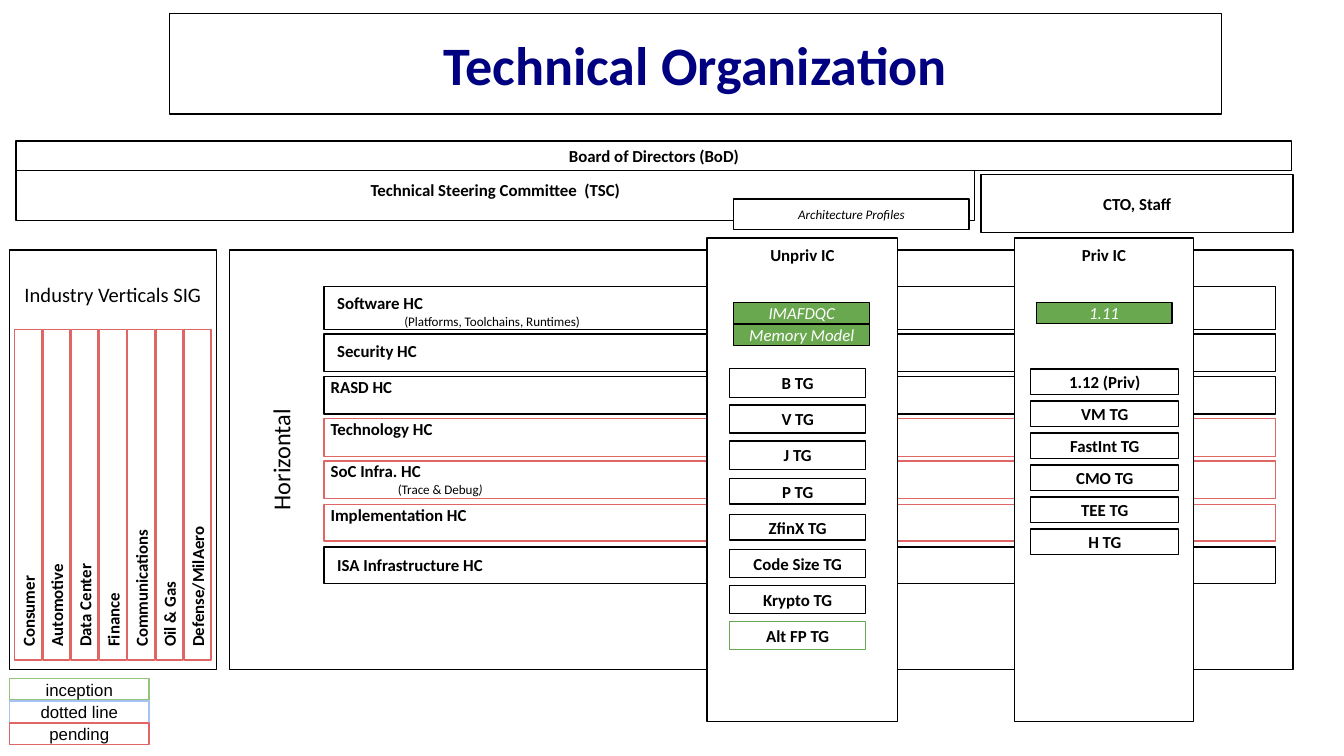
from dataclasses import dataclass, replace

from pptx import Presentation
from pptx.dml.color import RGBColor
from pptx.enum.shapes import MSO_SHAPE as Preset
from pptx.enum.text import MSO_ANCHOR as Anchor, MSO_AUTO_SIZE as AutoSize, PP_ALIGN as Align
from pptx.util import Inches, Pt


@dataclass(frozen=True)
class TextStyle:
    size: int
    bold: bool = False
    italic: bool = False
    color: str = "000000"
    font: str = "Calibri"


class Theme:
    black, white, navy = "000000", "FFFFFF", "000081"
    red, green, light_green, light_blue = "E06666", "6AA84F", "93C47D", "A4C2F4"
    line_width = 0.75
    title = TextStyle(29, bold=True, color=navy)
    label = TextStyle(9, bold=True)
    note = TextStyle(7)
    profile = TextStyle(7, italic=True)
    ratified = TextStyle(9, italic=True, color=white)
    legend = TextStyle(9, font="Arial")
    verticals = TextStyle(11)
    horizontal = TextStyle(13)


PADDED = (0.1, 0.05, 0.1, 0.05)
TIGHT = (0, 0, 0, 0)
SLIM = (0.05, 0, 0, 0)

TITLE = "Technical Organization"
TITLE_AREA = (1.26, 0.1, 7.83, 0.75)

GOVERNANCE = [
    ("Technical Steering Committee  (TSC)", (0.12, 1.19, 7.13, 0.45)),
    ("CTO, Staff", (7.3, 1.3, 2.32, 0.43)),
    ("Board of Directors (BoD)", (0.12, 1.05, 9.49, 0.22)),
]
PROFILES = ("Architecture Profiles", (5.46, 1.48, 1.75, 0.23))

HORIZONTAL_AREA = (1.71, 1.86, 7.91, 3.12)
# name, runs of the note below it, height, outline, insets, anchor
COMMITTEES = [
    ("Software HC", ["(Platforms, Toolchains, Runtimes)"], 0.32, Theme.black, PADDED, Anchor.TOP),
    ("Security HC", [], 0.28, Theme.black, PADDED, Anchor.TOP),
    ("RASD HC", [], 0.28, Theme.black, SLIM, Anchor.TOP),
    ("Technology HC", [], 0.28, Theme.red, SLIM, Anchor.TOP),
    ("SoC Infra. HC", ["(Trace & Debug", ")"], 0.28, Theme.red, SLIM, Anchor.TOP),
    ("Implementation HC", [], 0.27, Theme.red, SLIM, Anchor.TOP),
    ("ISA Infrastructure HC", [], 0.27, Theme.black, PADDED, Anchor.MIDDLE),
]
COMMITTEE_LEFT, COMMITTEE_WIDTH = 2.41, 7.08
FIRST_BOTTOM, LAST_BOTTOM = 2.45, 4.34

# Each column: heading, area, ratified items with their left, then task groups
# with left, width, first and last centre, and (name, height, outline).
ISA_COLUMNS = [
    {
        "heading": "Unpriv IC", "area": (5.26, 1.77, 1.42, 3.6),
        "ratified": ["IMAFDQC", "Memory Model"], "ratified_left": 5.46,
        "left": 5.43, "width": 1.01, "centres": (2.85, 4.73),
        "groups": [
            ("B TG", 0.22, Theme.black), ("V TG", 0.21, Theme.black),
            ("J TG", 0.21, Theme.black), ("P TG", 0.19, Theme.black),
            ("ZfinX TG", 0.19, Theme.black), ("Code Size TG", 0.21, Theme.black),
            ("Krypto TG", 0.21, Theme.black), ("Alt FP TG", 0.21, Theme.green),
        ],
    },
    {
        "heading": "Priv IC", "area": (7.55, 1.77, 1.33, 3.6),
        "ratified": ["1.11"], "ratified_left": 7.71,
        "left": 7.67, "width": 1.1, "centres": (2.84, 4.03),
        "groups": [(name, 0.19, Theme.black) for name in
                   ("1.12 (Priv)", "VM TG", "FastInt TG", "CMO TG", "TEE TG", "H TG")],
    },
]
RATIFIED_TOP, RATIFIED_WIDTH, RATIFIED_HEIGHT = 2.25, 1.01, 0.16

VERTICALS_AREA = (0.07, 1.86, 1.54, 3.12)
VERTICALS = ["Consumer", "Automotive", "Data Center", "Finance",
             "Communications", "Oil & Gas", "Defense/MilAero"]
VERTICAL_LEFT, VERTICAL_TOP, VERTICAL_STEP = 0.11, 2.45, 0.21
VERTICAL_WIDTH, VERTICAL_HEIGHT = 0.2, 2.46

LEGEND = [("inception", Theme.light_green), ("dotted line", Theme.light_blue),
          ("pending", Theme.red)]
LEGEND_LEFT, LEGEND_WIDTH, LEGEND_HEIGHT = 0.07, 1.04, 0.16
LEGEND_TOPS = (5.05, 5.38)


def spread(first, last, count):
    """Evenly spaced positions from first to last."""
    return [first + (last - first) * index / (count - 1) for index in range(count)]


def place(shape, area, turned=False):
    """Cover the area; a turned shape reads upwards within the same area."""
    left, top, width, height = area
    if turned:
        left, top = left + (width - height) / 2, top + (height - width) / 2
        width, height = height, width
        shape.rotation = 270
    shape.left, shape.top = Inches(left), Inches(top)
    shape.width, shape.height = Inches(width), Inches(height)


def outline(shape, color):
    shape.line.color.rgb = RGBColor.from_string(color)
    shape.line.width = Pt(Theme.line_width)


def prepare_frame(shape, insets, anchor):
    frame = shape.text_frame
    frame.word_wrap = True
    frame.auto_size = AutoSize.NONE
    frame.vertical_anchor = anchor
    (frame.margin_left, frame.margin_top,
     frame.margin_right, frame.margin_bottom) = map(Inches, insets)
    return frame


def add_run(paragraph, text, style):
    run = paragraph.add_run()
    run.text = text
    font = run.font
    font.name, font.size = style.font, Pt(style.size)
    font.bold, font.italic = style.bold, style.italic
    font.color.rgb = RGBColor.from_string(style.color)


def add_box(slide, area, text, style=Theme.label, line=Theme.black, fill=Theme.white,
            insets=TIGHT, anchor=Anchor.MIDDLE, align=Align.CENTER, turned=False):
    shape = slide.shapes.add_shape(Preset.RECTANGLE, 0, 0, 0, 0)
    place(shape, area, turned)
    shape.shadow.inherit = False
    outline(shape, line)
    if fill:
        shape.fill.solid()
        shape.fill.fore_color.rgb = RGBColor.from_string(fill)
    else:
        shape.fill.background()
    paragraph = prepare_frame(shape, insets, anchor).paragraphs[0]
    paragraph.alignment = align
    add_run(paragraph, text, style)
    return shape


def add_title(slide):
    title = slide.shapes.title
    place(title, TITLE_AREA)
    outline(title, Theme.black)
    paragraph = prepare_frame(title, PADDED, Anchor.MIDDLE).paragraphs[0]
    paragraph.alignment = Align.CENTER
    add_run(paragraph, TITLE, Theme.title)


def add_committees(slide):
    add_box(slide, HORIZONTAL_AREA, "Horizontal", Theme.horizontal,
            insets=(0.1, 0.27, 0.1, 0.05), anchor=Anchor.TOP, turned=True)
    bottoms = spread(FIRST_BOTTOM, LAST_BOTTOM, len(COMMITTEES))
    for bottom, (name, note, height, line, insets, anchor) in zip(bottoms, COMMITTEES):
        area = (COMMITTEE_LEFT, bottom - height, COMMITTEE_WIDTH, height)
        shape = add_box(slide, area, name, line=line, insets=insets,
                        anchor=anchor, align=Align.LEFT)
        if note:
            paragraph = shape.text_frame.add_paragraph()
            paragraph.alignment = Align.LEFT
            paragraph._p.get_or_add_pPr().set("marL", str(Inches(0.5)))
            for index, text in enumerate(note):
                add_run(paragraph, text, replace(Theme.note, italic=index > 0))


def add_isa_column(slide, column):
    add_box(slide, column["area"], column["heading"], insets=PADDED, anchor=Anchor.TOP)
    for index, name in enumerate(column["ratified"]):
        top = RATIFIED_TOP + index * RATIFIED_HEIGHT
        add_box(slide, (column["ratified_left"], top, RATIFIED_WIDTH, RATIFIED_HEIGHT),
                name, Theme.ratified, fill=Theme.green)
    centres = spread(*column["centres"], len(column["groups"]))
    for centre, (name, height, line) in zip(centres, column["groups"]):
        add_box(slide, (column["left"], centre - height / 2, column["width"], height),
                name, line=line)


def add_verticals(slide):
    add_box(slide, VERTICALS_AREA, "Industry Verticals SIG", Theme.verticals,
            insets=(0.1, 0.24, 0.1, 0.05), anchor=Anchor.TOP)
    for index, name in enumerate(VERTICALS):
        left = VERTICAL_LEFT + index * VERTICAL_STEP
        add_box(slide, (left, VERTICAL_TOP, VERTICAL_WIDTH, VERTICAL_HEIGHT), name,
                line=Theme.red, insets=PADDED, align=Align.LEFT, turned=True)


def main():
    presentation = Presentation()
    presentation.slide_width = Inches(10)
    presentation.slide_height = Inches(10 * 9 / 16)
    slide = presentation.slides.add_slide(presentation.slide_layouts[5])
    add_title(slide)
    add_committees(slide)
    for name, area in GOVERNANCE:
        add_box(slide, area, name, insets=PADDED)
    for column in ISA_COLUMNS:
        add_isa_column(slide, column)
    add_box(slide, PROFILES[1], PROFILES[0], Theme.profile)
    add_verticals(slide)
    for top, (name, line) in zip(spread(*LEGEND_TOPS, len(LEGEND)), LEGEND):
        add_box(slide, (LEGEND_LEFT, top, LEGEND_WIDTH, LEGEND_HEIGHT), name,
                Theme.legend, line=line, fill=None)
    presentation.save("out.pptx")


if __name__ == "__main__":
    main()
